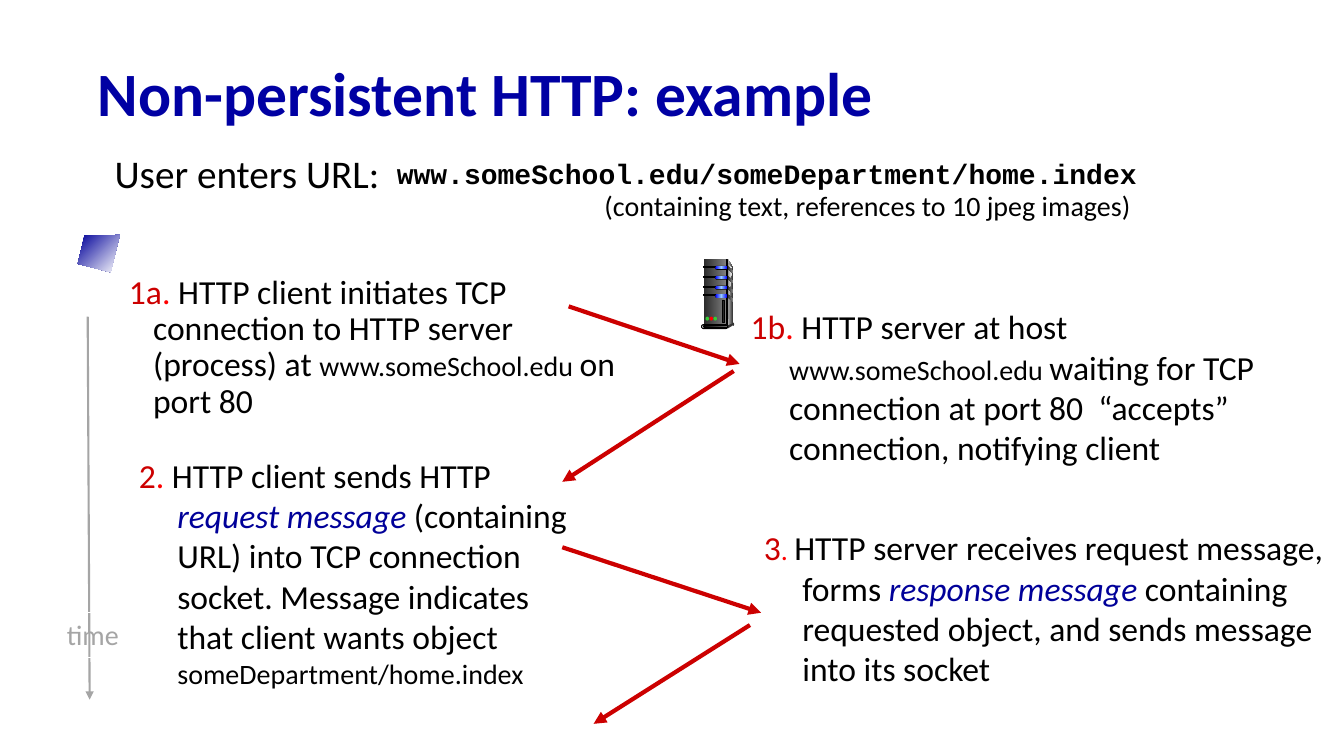
"""Build the slide on non-persistent HTTP with its client and server exchange."""
from copy import deepcopy
from dataclasses import dataclass

from lxml import etree
from pptx import Presentation
from pptx import util as u
from pptx.dml.color import RGBColor
from pptx.enum import shapes, text
from pptx.oxml.ns import qn


@dataclass(frozen=True)
class Theme:
    font: str = "Calibri"
    mono: str = "Courier New"
    title: str = "0000A3"
    ink: str = "000000"
    step: str = "CC0000"
    dot: str = "FF0000"
    term: str = "000099"
    time: str = "A5A5A5"
    white: str = "FFFFFF"
    dark: str = "292929"
    shade: str = "333333"
    mid: str = "808080"
    light: str = "DDDDDD"
    gloss: str = "F8F8F8"
    led_on: str = "33CC33"
    lamp: tuple[str, ...] = ("0000FF", "99CCFF", "0000FF")
    title_size: int = 44
    lead_size: int = 28
    body_size: int = 24
    small_size: int = 20


T = Theme()
Box = tuple[float, float, float, float]
Point = tuple[float, float]


@dataclass(frozen=True)
class Run:
    text: str
    color: str | None = None
    size: int | None = None
    italic: bool | None = None


@dataclass(frozen=True)
class Note:
    box: Box
    runs: list[Run]
    size: int = T.body_size
    color: str = T.ink
    font: str = T.font
    bold: bool = False
    spacing: float = 1.0
    indent: Point = (0.97, -0.97)
    align: text.PP_ALIGN = text.PP_ALIGN.LEFT
    outline: str | None = None


@dataclass(frozen=True)
class Arrow:
    start: Point
    end: Point
    color: str = T.step
    width: float = 3


@dataclass(frozen=True)
class Part:
    kind: shapes.MSO_SHAPE
    box: Box
    colors: tuple[str, ...]
    outlined: bool = False


@dataclass(frozen=True)
class Outline:
    points: list[Point]
    colors: tuple[str, ...]
    angle: float = 0


RECT, PILL, OVAL = (shapes.MSO_SHAPE.RECTANGLE, shapes.MSO_SHAPE.ROUNDED_RECTANGLE,
                    shapes.MSO_SHAPE.OVAL)
CENTER, FLAT = text.PP_ALIGN.CENTER, (0, 0)

TIME_AXIS = Arrow((2.21, 7.98), (2.26, 17.63), T.time, 1.5)
MESSAGES = [
    Arrow((14.33, 7.72), (18.64, 9.17)),
    Arrow((18.49, 9.35), (14.17, 12.14)),
    Arrow((14.17, 13.79), (19.18, 15.44)),
    Arrow((18.9, 15.75), (14.96, 18.24)),
]
TITLE = Note((2.21, 1.19, 29.21, 2.49), [Run("Non-persistent HTTP: example")],
             T.title_size, T.title, bold=True, spacing=0.9, indent=FLAT)
NOTES = [
    Note((2.26, 3.76, 22.07, 1.3), [Run("User enters URL:")], T.lead_size,
         spacing=0.9, indent=(0.99, -0.61)),
    Note((2.62, 6.81, 13.46, 5.28), [
        Run("1a", T.step), Run(".", T.dot),
        Run(" HTTP client initiates TCP connection to HTTP server (process) at "),
        Run("www.someSchool.edu ", size=T.small_size), Run("on port 80"),
    ], spacing=0.9, indent=(0.99, -0.61)),
    Note((3.25, 11.33, 11.71, 3.0), [
        Run("2", T.step), Run(".", T.dot), Run(" HTTP client sends HTTP "),
        Run("request message", T.term, italic=True),
        Run(" (containing URL) into TCP connection socket. Message indicates "
            "that client wants object "),
        Run("someDepartment/home.index", size=T.small_size),
    ]),
    Note((18.67, 7.59, 14.96, 4.19), [
        Run("1b", T.step), Run(".", T.dot), Run(" HTTP server at host "),
        Run("www.someSchool.edu ", size=T.small_size),
        Run("waiting for TCP connection at port 80  “accepts” connection, notifying client"),
    ]),
    Note((19.0, 13.16, 14.99, 5.0), [
        Run("3", T.step), Run(". ", T.dot, T.small_size),
        Run("HTTP server receives request message, forms "),
        Run("response message", T.term, italic=True),
        Run(" containing requested object, and sends message into its socket"),
    ]),
    Note((1.4, 15.44, 1.88, 1.12), [Run("time")], T.small_size, T.time,
         indent=FLAT, align=CENTER, outline=T.white),
    Note((13.0, 4.62, 17.73, 1.12), [Run("(containing text, references to 10 jpeg images)")],
         T.small_size, indent=FLAT, align=CENTER),
    Note((9.75, 3.94, 22.07, 1.3), [Run("www.someSchool.edu/someDepartment/home.index")],
         T.small_size, font=T.mono, bold=True, spacing=0.85),
]
CLIENT = Outline([(3.02, 5.92), (2.13, 5.94), (1.96, 6.65), (2.79, 6.86)],
                 (T.term, T.white), 315)
CASE = [
    Outline([(18.34, 6.53), (18.47, 6.73), (18.47, 8.15), (18.31, 8.23)], (T.light, T.shade)),
    Part(RECT, (17.73, 6.53, 0.58, 1.7), (T.dark, T.mid)),
    Outline([(18.34, 6.63), (18.44, 6.76), (18.38, 7.4), (18.34, 8.18)], (T.mid, T.gloss)),
    Part(RECT, (18.31, 6.53, 0.03, 1.7), (T.shade, T.light, T.shade), True),
]
BAYS = [item for y in (6.71, 6.96, 7.21, 7.42) for item in (
    Part(RECT, (17.73, y, 0.33, 0.03), (T.ink,), True),
    Part(PILL, (18.02, y - 0.01, 0.33, 0.1), (T.ink,)),
    Part(PILL, (18.03, y, 0.3, 0.08), T.lamp),
    Outline([(18.34, y), (18.47, y + 0.1), (18.47, y + 0.18), (18.34, y + 0.07)],
            (T.dark, T.mid)),
)]
BASE = [
    Part(OVAL, (18.47, 8.13, 0.03, 0.08), (T.shade,)),
    Outline([(18.34, 8.2), (18.34, 8.28), (18.47, 8.2), (18.47, 8.15)], (T.shade,)),
    Part(PILL, (17.68, 8.18, 0.66, 0.1), (T.light,), True),
    Part(PILL, (17.73, 8.2, 0.61, 0.05), (T.ink, T.mid), True),
    *(Part(OVAL, (17.78 + 0.1 * i, 7.98, 0.09, 0.1), (color,))
      for i, color in enumerate((T.led_on, T.dot, T.led_on))),
    Part(RECT, (18.21, 7.57, 0.05, 0.56), (T.dark,), True),
]


def rgb(color: str) -> RGBColor:
    return RGBColor.from_string(color)


def write(sp, note: Note) -> None:
    tf = sp.text_frame
    tf.word_wrap, tf.auto_size = True, text.MSO_AUTO_SIZE.NONE
    p = tf.paragraphs[0]
    p.alignment, p.line_spacing = note.align, note.spacing
    for name, value in zip(("marL", "indent"), note.indent):
        p._p.get_or_add_pPr().set(name, str(u.Cm(value)))
    p.font.name, p.font.size, p.font.bold = note.font, u.Pt(note.size), note.bold
    p.font.color.rgb = rgb(note.color)
    for run in note.runs:
        r = p.add_run()
        r.text, r.font.italic = run.text, run.italic
        if run.size:
            r.font.size = u.Pt(run.size)
        if run.color:
            r.font.color.rgb = rgb(run.color)
    if note.outline:
        sp.line.color.rgb, sp.line.width = rgb(note.outline), u.Pt(0.75)


def draw_arrow(s, arrow: Arrow) -> None:
    ends = [u.Cm(v) for v in (*arrow.start, *arrow.end)]
    cx = s.shapes.add_connector(shapes.MSO_CONNECTOR.STRAIGHT, *ends)
    cx.line.color.rgb, cx.line.width = rgb(arrow.color), u.Pt(arrow.width)
    etree.SubElement(cx.line._ln, qn("a:tailEnd"), type="triangle")
    etree.SubElement(cx._element.spPr, qn("a:effectLst"))


def paint(sp, colors: tuple[str, ...], angle: float = 0, outlined: bool = False) -> None:
    sp.shadow.inherit = False
    if len(colors) == 1:
        sp.fill.solid()
        sp.fill.fore_color.rgb = rgb(colors[0])
    else:
        sp.fill.gradient()
        sp.fill.gradient_angle = angle
        stops = sp._element.spPr.find(".//" + qn("a:gsLst"))
        for _ in colors[2:]:
            stops.append(deepcopy(stops[0]))
        for i, stop in enumerate(sp.fill.gradient_stops):
            stop.color.rgb, stop.position = rgb(colors[i]), i / (len(colors) - 1)
    if outlined:
        sp.line.color.rgb, sp.line.width = rgb(T.ink), u.Pt(0.75)
    else:
        sp.line.fill.background()


def draw_item(tree, item: Part | Outline) -> None:
    if isinstance(item, Outline):
        first, *rest = [(u.Cm(x), u.Cm(y)) for x, y in item.points]
        fb = tree.build_freeform(*first)
        fb.add_line_segments(rest, close=True)
        paint(fb.convert_to_shape(), item.colors, item.angle)
        return
    sp = tree.add_shape(item.kind, *map(u.Cm, item.box))
    if item.kind == PILL:
        sp.adjustments[0] = 0.5
    paint(sp, item.colors, outlined=item.outlined)


def main() -> None:
    prs = Presentation()
    prs.slide_width, prs.slide_height = u.Cm(33.87), u.Cm(19.05)
    s = prs.slides.add_slide(prs.slide_layouts[5])
    title = s.shapes.title
    title.left, title.top, title.width, title.height = map(u.Cm, TITLE.box)
    title.text_frame.vertical_anchor = text.MSO_ANCHOR.MIDDLE
    write(title, TITLE)
    for arrow in (TIME_AXIS, *MESSAGES):
        draw_arrow(s, arrow)
    for note in NOTES:
        write(s.shapes.add_textbox(*map(u.Cm, note.box)), note)
    draw_item(s.shapes, CLIENT)
    server = s.shapes.add_group_shape()
    for item in (*CASE, *BAYS, *BASE):
        draw_item(server.shapes, item)
    prs.save("out.pptx")


if __name__ == "__main__":
    main()
